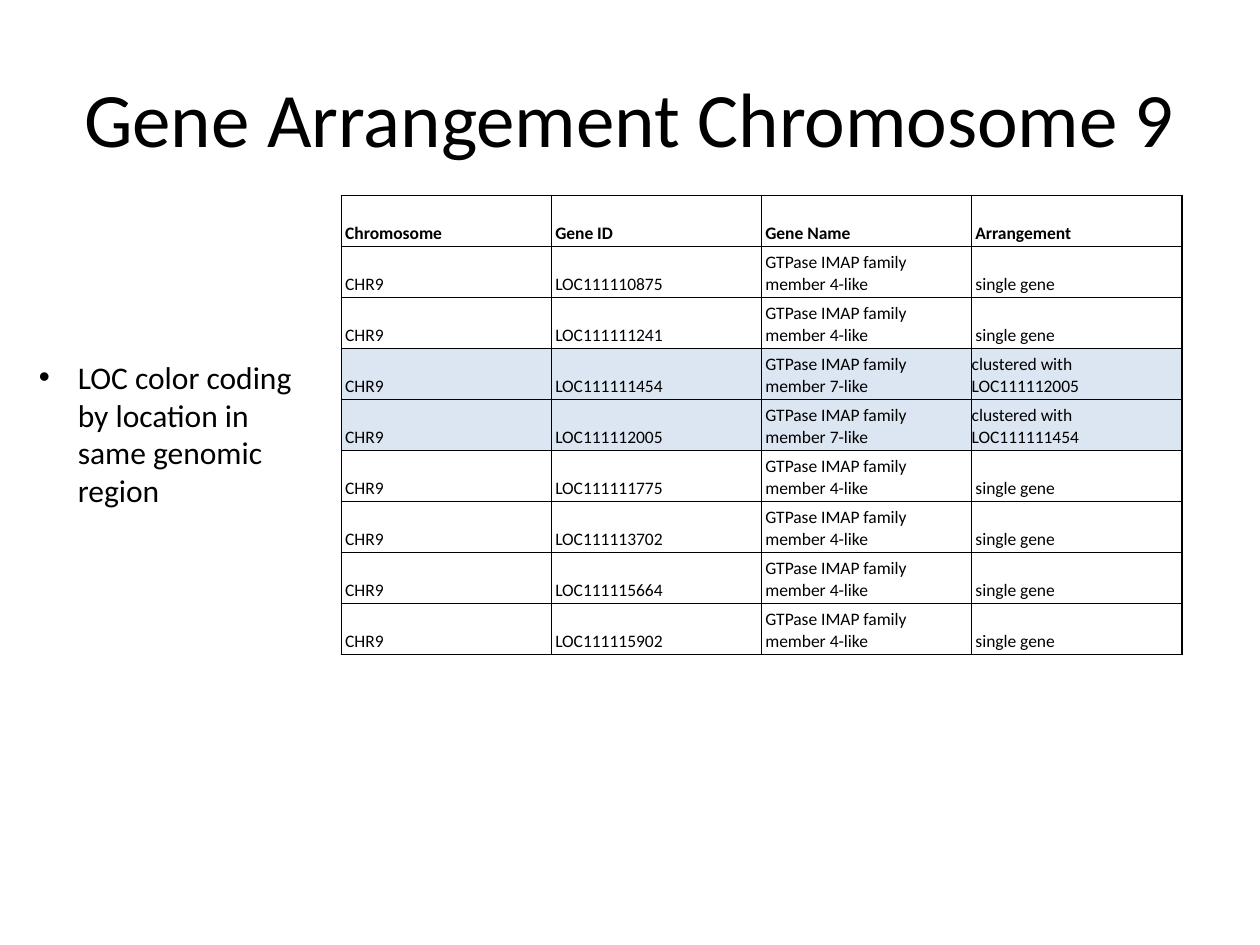
import pptx
import pptx.util
import pptx.dml.color
import pptx.enum.text
import pptx.oxml
import pptx.oxml.ns
import lxml.etree

Inches = pptx.util.Inches
Pt = pptx.util.Pt
Anchor = pptx.enum.text.MSO_ANCHOR
Align = pptx.enum.text.PP_ALIGN
qn = pptx.oxml.ns.qn

BLACK = pptx.dml.color.RGBColor(0x00, 0x00, 0x00)
BLUE = pptx.dml.color.RGBColor(0xDC, 0xE6, 0xF2)
FONT = "Calibri"

TITLE = "Gene Arrangement Chromosome 9"
NOTE = "LOC color coding by location in same genomic region"
HEADS = ["Chromosome", "Gene ID", "Gene Name", "Arrangement"]
GENES = [
    ("LOC111110875", 4, None),
    ("LOC111111241", 4, None),
    ("LOC111111454", 7, "LOC111112005"),
    ("LOC111112005", 7, "LOC111111454"),
    ("LOC111111775", 4, None),
    ("LOC111113702", 4, None),
    ("LOC111115664", 4, None),
    ("LOC111115902", 4, None),
]
LEFT, TOP, WIDTH, ROW = 2.71, 1.55, 6.67, 0.405


def write(frame, text, size=10, bold=False, align=Align.LEFT, anchor=Anchor.TOP):
    frame.word_wrap = True
    frame.vertical_anchor = anchor
    line = frame.paragraphs[0]
    line.alignment = align
    run = line.add_run()
    run.text = text
    run.font.name = FONT
    run.font.size = Pt(size)
    run.font.bold = bold
    run.font.color.rgb = BLACK
    return line


def border(cell):
    props = cell._tc.get_or_add_tcPr()
    for spot, side in enumerate(("a:lnL", "a:lnR", "a:lnT", "a:lnB")):
        edge = lxml.etree.Element(qn(side), w=str(Pt(1)))
        fill = lxml.etree.SubElement(edge, qn("a:solidFill"))
        lxml.etree.SubElement(fill, qn("a:srgbClr"), val=str(BLACK))
        props.insert(spot, edge)


def bullet(line, indent):
    props = line._p.get_or_add_pPr()
    props.set("marL", str(Inches(indent)))
    props.set("indent", str(-Inches(indent)))
    lxml.etree.SubElement(props, qn("a:buFont"), typeface="Arial")
    lxml.etree.SubElement(props, qn("a:buChar"), char="•")


def add_genes(slide):
    rows = [(HEADS, False)]
    for gene, member, mate in GENES:
        name = f"GTPase IMAP family member {member}-like"
        place = f"clustered with {mate}" if mate else "single gene"
        rows.append((["CHR9", gene, name, place], bool(mate)))
    frame = slide.shapes.add_table(
        len(rows), len(HEADS), Inches(LEFT), Inches(TOP),
        Inches(WIDTH), Inches(ROW * len(rows)))
    table = frame.table
    table.horz_banding = False
    table.first_row = False
    for r, (texts, paired) in enumerate(rows):
        for c, text in enumerate(texts):
            cell = table.cell(r, c)
            flush = paired and c == len(HEADS) - 1
            cell.margin_left = cell.margin_right = Inches(0 if flush else 0.03)
            cell.margin_top = cell.margin_bottom = Inches(0.02)
            cell.vertical_anchor = Anchor.BOTTOM
            if paired:
                cell.fill.solid()
                cell.fill.fore_color.rgb = BLUE
            else:
                cell.fill.background()
            write(cell.text_frame, text, bold=r == 0, anchor=Anchor.BOTTOM)
            border(cell)


def main():
    deck = pptx.Presentation()
    deck.slide_width, deck.slide_height = Inches(10), Inches(7.5)
    slide = deck.slides.add_slide(deck.slide_layouts[5])

    title = slide.shapes.title
    title.left, title.top = Inches(0.5), Inches(0.3)
    title.width, title.height = Inches(9), Inches(1.25)
    write(title.text_frame, TITLE, size=44, align=Align.CENTER, anchor=Anchor.MIDDLE)

    add_genes(slide)

    note = slide.shapes.add_textbox(Inches(0.21), Inches(2.79), Inches(2.36), Inches(1.31))
    bullet(write(note.text_frame, NOTE, size=18), 0.31)

    deck.save("out.pptx")


if __name__ == "__main__":
    main()
